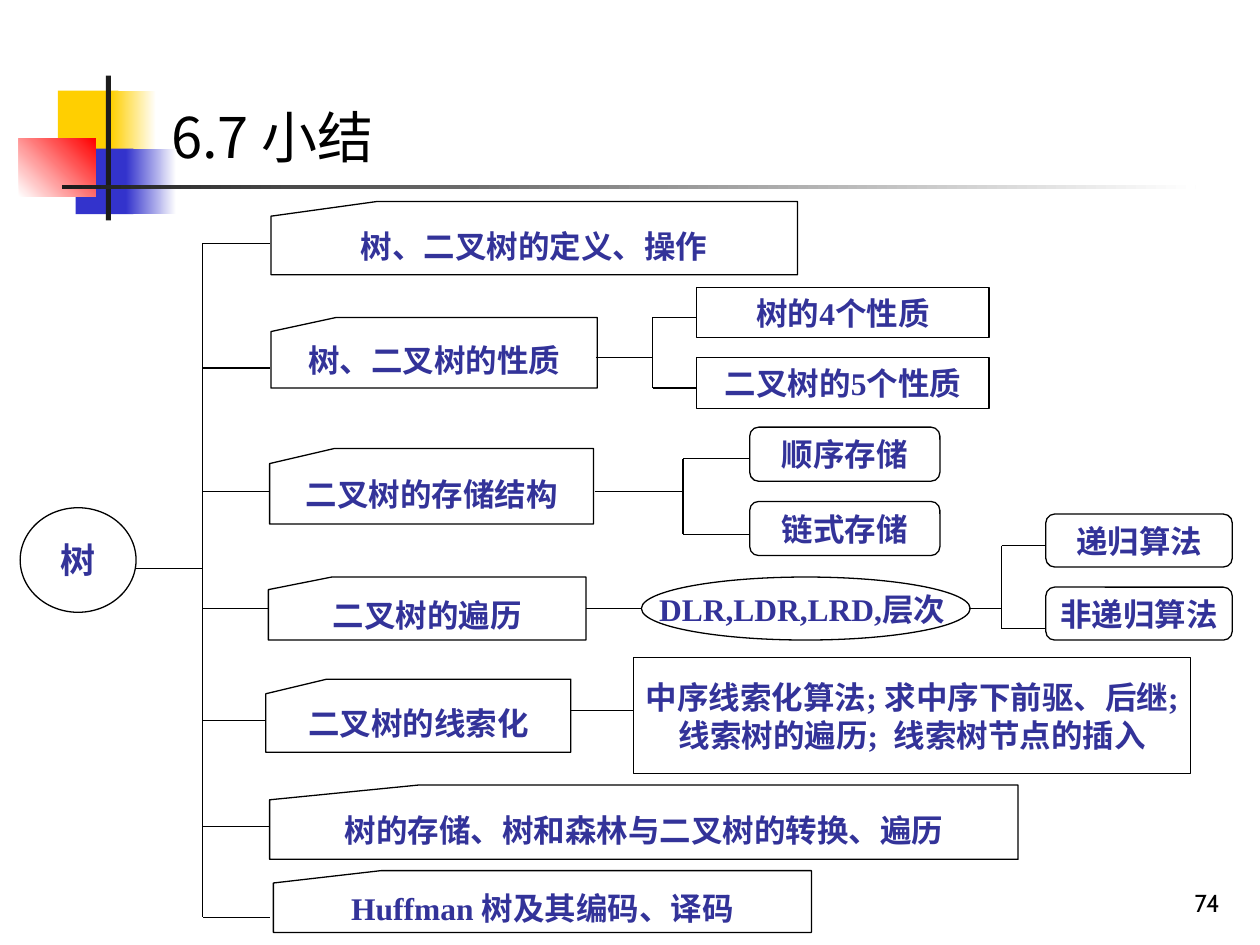
from lxml import etree
from pptx import Presentation
from pptx import util as u
from pptx.dml import color
from pptx.enum import shapes, text
from pptx.oxml import ns

COLUMNS, ROWS = 100, 75
WIDTH, HEIGHT = u.Inches(10), u.Inches(7.5)
BLACK, INK, WHITE = "000000", "333399", "FFFFFF"
YELLOW, BLUE, RED, CHARCOAL = "FFCF01", "3333CC", "FF0000", "1C1C1C"
SERIF, SANS, NUMERAL = "Times New Roman", "Noto Sans CJK JP", "Cabin"
KIND = shapes.MSO_SHAPE
CARD, OVAL = KIND.FLOWCHART_CARD, KIND.OVAL
RECT, ROUND = KIND.RECTANGLE, KIND.ROUNDED_RECTANGLE
TRUNK = 16.1

BRANCHES = [
    ("树、二叉树的定义、操作", (21.5, 16, 41.8, 5.8), 19.3),
    ("树、二叉树的性质", (21.5, 25.2, 25.9, 5.6), 29.2),
    ("二叉树的存储结构", (21.4, 35.6, 25.7, 6), 39),
    ("二叉树的遍历", (21.3, 45.8, 25.2, 5), 48.3),
    ("二叉树的线索化", (21.1, 53.9, 24.2, 5.8), 57.2),
    ("树的存储、树和森林与二叉树的转换、遍历", (21.4, 62.3, 59.4, 5.9), 65.6),
    ("Huffman 树及其编码、译码", (21.7, 69.1, 42.7, 4.9), 72.8),
]
LEAVES = [
    (RECT, (55.3, 22.8, 23.2, 4), 5.6, ["树的4个性质", "二叉树的5个性质"]),
    (ROUND, (59.5, 33.9, 15.1, 4.3), 5.9, ["顺序存储", "链式存储"]),
    (ROUND, (83, 40.8, 14.8, 4.2), 5.8, ["递归算法", "非递归算法"]),
]
FORKS = [
    (47.3, 28.4, 51.8, 55.3, (25.2, 30.8)),
    (47.2, 39, 54.2, 59.5, (36.4, 42.4)),
    (76.9, 48.3, 79.5, 83, (43.3, 49.9)),
]


def across(columns):
    return int(WIDTH * columns / COLUMNS)


def down(rows):
    return int(HEIGHT * rows / ROWS)


def place(cell):
    left, top, width, height = cell
    return across(left), down(top), across(width), down(height)


def rgb(code):
    return color.RGBColor.from_string(code)


def write(para, words, size, face, ink, bold=False):
    span = para.add_run()
    span.text = words
    span.font.size = u.Pt(size)
    span.font.name = face
    span.font.bold = bold
    span.font.color.rgb = rgb(ink)


def add_block(page, cell, start, end=None, angle=0):
    block = page.shapes.add_shape(RECT, *place(cell))
    block.shadow.inherit = False
    block.line.fill.background()
    if end is None:
        block.fill.solid()
        block.fill.fore_color.rgb = rgb(start)
        return
    block.fill.gradient()
    block.fill.gradient_angle = angle
    for stop, code in zip(block.fill.gradient_stops, (start, end)):
        stop.color.rgb = rgb(code)


def add_node(page, kind, cell, lines, size=18):
    node = page.shapes.add_shape(kind, *place(cell))
    node.shadow.inherit = False
    node.fill.background()
    node.line.color.rgb = rgb(BLACK)
    node.line.width = u.Pt(0.75)
    frame = node.text_frame
    frame.word_wrap = False
    frame.vertical_anchor = text.MSO_ANCHOR.MIDDLE
    for index, words in enumerate(lines):
        para = frame.add_paragraph() if index else frame.paragraphs[0]
        para.alignment = text.PP_ALIGN.CENTER
        write(para, words, size, SERIF, INK, True)


def add_line(page, x1, y1, x2, y2):
    line = page.shapes.add_connector(
        shapes.MSO_CONNECTOR.STRAIGHT, across(x1), down(y1), across(x2), down(y2))
    line.line.color.rgb = rgb(BLACK)
    line.line.width = u.Pt(0.75)
    etree.SubElement(line._element.spPr, ns.qn("a:effectLst"))


def add_fork(page, start, stem, spine, end, tines):
    add_line(page, start, stem, spine, stem)
    add_line(page, spine, min(tines), spine, max(tines))
    for row in tines:
        add_line(page, spine, row, end, row)


def add_ornament(page):
    add_block(page, (4.6, 7.2, 4.8, 5.2), YELLOW)
    add_block(page, (8.8, 7.2, 3.6, 5.2), YELLOW, WHITE)
    add_block(page, (6, 11.8, 4.6, 5.2), BLUE)
    add_block(page, (10, 11.8, 4, 5.2), BLUE, WHITE)
    add_block(page, (1.5, 11, 6.1, 4.6), WHITE, RED, 45)
    add_block(page, (8.4, 6, 0.4, 11.5), CHARCOAL)
    add_block(page, (4.9, 14.7, 90, 0.3), CHARCOAL, WHITE)


def set_title(page, words):
    title = page.shapes.title
    title.left, title.top, title.width, title.height = place((12.6, 7.6, 87.4, 6.4))
    frame = title.text_frame
    frame.auto_size = text.MSO_AUTO_SIZE.NONE
    frame.word_wrap = True
    frame.vertical_anchor = text.MSO_ANCHOR.TOP
    para = frame.paragraphs[0]
    para.alignment = text.PP_ALIGN.LEFT
    para.space_before = u.Pt(0)
    write(para, words, 32, SANS, BLACK)


def add_page_number(page, number):
    box = page.shapes.add_textbox(*place((77, 68.3, 20.8, 5)))
    box.text_frame.word_wrap = True
    box.text_frame.vertical_anchor = text.MSO_ANCHOR.BOTTOM
    para = box.text_frame.paragraphs[0]
    para.alignment = text.PP_ALIGN.RIGHT
    write(para, number, 14, NUMERAL, BLACK)


def add_tree(page):
    joints = [joint for _, _, joint in BRANCHES]
    add_line(page, TRUNK, joints[0], TRUNK, joints[-1])
    add_line(page, 10.8, 45.1, TRUNK, 45.1)
    add_node(page, OVAL, (1.6, 40.3, 9.2, 8.3), ["树"], 20)
    for words, cell, joint in BRANCHES:
        add_line(page, TRUNK, joint, min(cell[0], 21.4), joint)
        add_node(page, CARD, cell, [words])


def add_details(page):
    for fork in FORKS:
        add_fork(page, *fork)
    for kind, (left, top, width, height), step, labels in LEAVES:
        for index, words in enumerate(labels):
            add_node(page, kind, (left, top + index * step, width, height), [words])
    add_line(page, 46.5, 48.3, 50.9, 48.3)
    add_node(page, OVAL, (50.9, 45.8, 26.1, 5), ["DLR,LDR,LRD,层次 "])
    add_line(page, 45.3, 56.4, 50.3, 56.4)
    add_node(page, RECT, (50.3, 52.2, 44.2, 9.2),
             ["中序线索化算法; 求中序下前驱、后继;", "线索树的遍历;  线索树节点的插入"])


def main():
    deck = Presentation()
    deck.slide_width, deck.slide_height = WIDTH, HEIGHT
    page = deck.slides.add_slide(deck.slide_layouts[5])
    add_ornament(page)
    set_title(page, "6.7 小结")
    add_tree(page)
    add_details(page)
    add_page_number(page, "74")
    deck.save("out.pptx")


if __name__ == "__main__":
    main()
